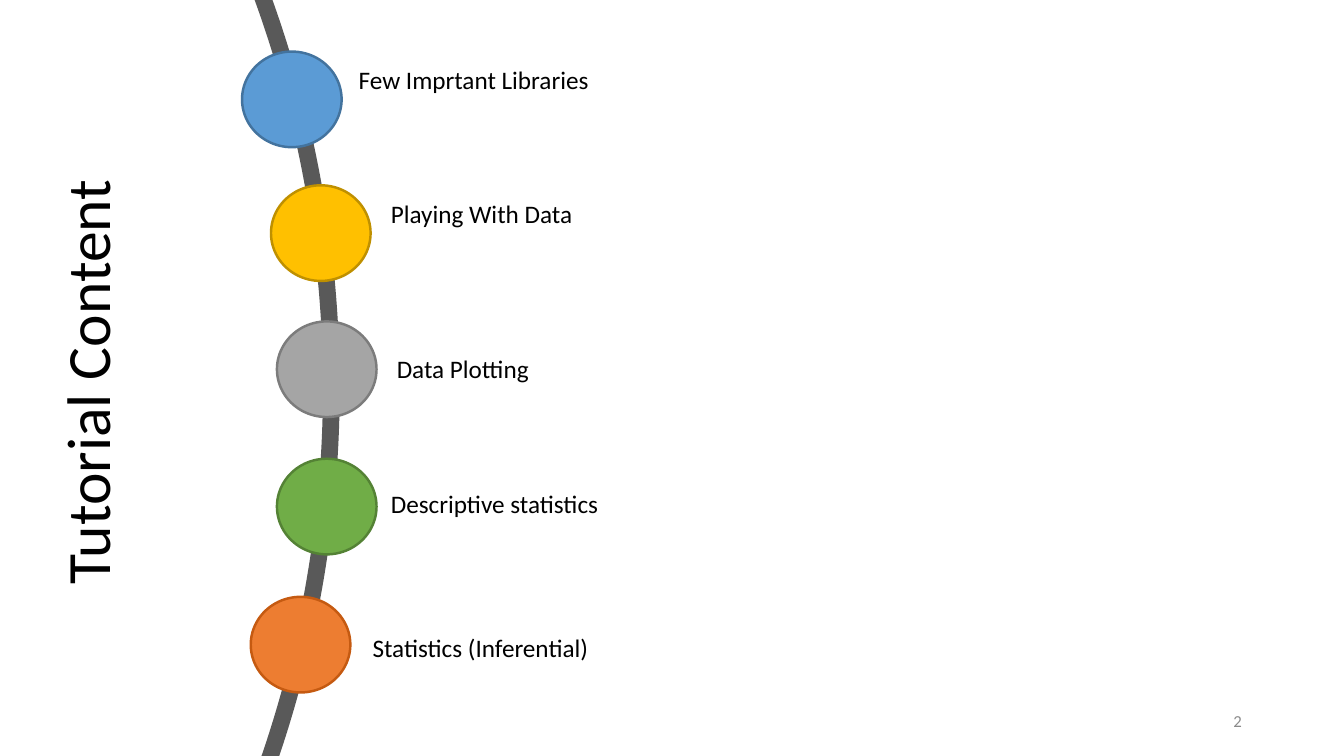
from dataclasses import dataclass

from lxml.etree import SubElement
from pptx import Presentation
from pptx.dml.color import RGBColor
from pptx.enum.shapes import MSO_SHAPE
from pptx.enum.text import MSO_ANCHOR, MSO_AUTO_SIZE, PP_ALIGN
from pptx.oxml.ns import qn
from pptx.util import Cm, Pt


@dataclass(frozen=True)
class Theme:
    """Font, type sizes, line widths and colours of the slide."""

    font: str = "Calibri"
    title_size: int = 44
    topic_size: int = 18
    number_size: int = 12
    curve_width: float = 12
    marker_width: float = 1.75
    text: str = "000000"
    muted: str = "8B8B8B"
    curve: str = "595959"
    blue: tuple = ("5B9BD5", "43739E")
    yellow: tuple = ("FFC000", "BF9000")
    grey: tuple = ("A5A5A5", "7C7C7C")
    green: tuple = ("70AD47", "548235")
    orange: tuple = ("ED7D31", "C55A11")


THEME = Theme()
MARKER_SIZE = (2.51, 2.41)
LABEL_HEIGHT = 1.02

TOPICS = [
    ("Few Imprtant Libraries", THEME.blue, (6.1, 1.3), (8.79, 1.5), 11.66),
    ("Playing With Data", THEME.yellow, (6.83, 4.67), (9.6, 4.88), 19.53),
    ("Data Plotting", THEME.grey, (6.98, 8.1), (9.75, 8.79), 14.66),
    ("Descriptive statistics", THEME.green, (6.98, 11.56), (9.6, 12.19), 14.66),
    ("Statistics (Inferential)", THEME.orange, (6.32, 15.04), (9.14, 15.82), 14.66),
]


def write(frame, words, size, color, align=PP_ALIGN.LEFT, anchor=MSO_ANCHOR.TOP):
    """Put one formatted paragraph into a text frame."""
    frame.text = words
    frame.word_wrap = True
    frame.auto_size = MSO_AUTO_SIZE.NONE
    frame.vertical_anchor = anchor
    paragraph = frame.paragraphs[0]
    paragraph.alignment = align
    for run in paragraph.runs:
        run.font.name = THEME.font
        run.font.size = Pt(size)
        run.font.color.rgb = RGBColor.from_string(color)


def add_title(slide, words):
    """Turn the title placeholder upright along the left edge."""
    title = slide.shapes.title
    title.left, title.top = Cm(-5.46), Cm(5.41)
    title.width, title.height = Cm(15.47), Cm(3.68)
    title.rotation = 270
    write(title.text_frame, words, THEME.title_size, THEME.text, anchor=MSO_ANCHOR.MIDDLE)
    title.text_frame.paragraphs[0].line_spacing = 0.9


def add_label(slide, words, position, width, size, color, **layout):
    """Add a text box holding a single line."""
    left, top = position
    label = slide.shapes.add_textbox(Cm(left), Cm(top), Cm(width), Cm(LABEL_HEIGHT))
    write(label.text_frame, words, size, color, **layout)


def add_ellipse(slide, position, size, line_color, line_width, fill_color=None):
    """Add an outlined ellipse, filled when a fill colour is given."""
    ellipse = slide.shapes.add_shape(
        MSO_SHAPE.OVAL, *(Cm(length) for length in (*position, *size))
    )
    ellipse.shadow.inherit = False
    ellipse.line.color.rgb = RGBColor.from_string(line_color)
    ellipse.line.width = Pt(line_width)
    if fill_color:
        ellipse.fill.solid()
        ellipse.fill.fore_color.rgb = RGBColor.from_string(fill_color)
    else:
        ellipse.fill.background()
    return ellipse


def add_curve(slide):
    """Add the large ring whose right edge links the topics."""
    curve = add_ellipse(
        slide, (-49.23, -19.02), (57.58, 57.58), THEME.curve, THEME.curve_width
    )
    SubElement(curve.line._get_or_add_ln(), qn("a:miter"), lim="800000")


def add_topic(slide, words, colors, marker_position, label_position, label_width):
    """Add one topic: its round marker and its label."""
    fill_color, line_color = colors
    add_ellipse(
        slide, marker_position, MARKER_SIZE, line_color, THEME.marker_width, fill_color
    )
    add_label(slide, words, label_position, label_width, THEME.topic_size, THEME.text)


def main():
    """Build the slide and save it."""
    presentation = Presentation()
    presentation.slide_width, presentation.slide_height = Cm(33.87), Cm(19.05)
    slide = presentation.slides.add_slide(presentation.slide_layouts[5])
    add_title(slide, "Tutorial Content")
    add_label(
        slide, "2", (23.93, 17.65), 7.62, THEME.number_size, THEME.muted,
        align=PP_ALIGN.RIGHT, anchor=MSO_ANCHOR.MIDDLE,
    )
    add_curve(slide)
    for topic in TOPICS:
        add_topic(slide, *topic)
    presentation.save("out.pptx")


if __name__ == "__main__":
    main()
